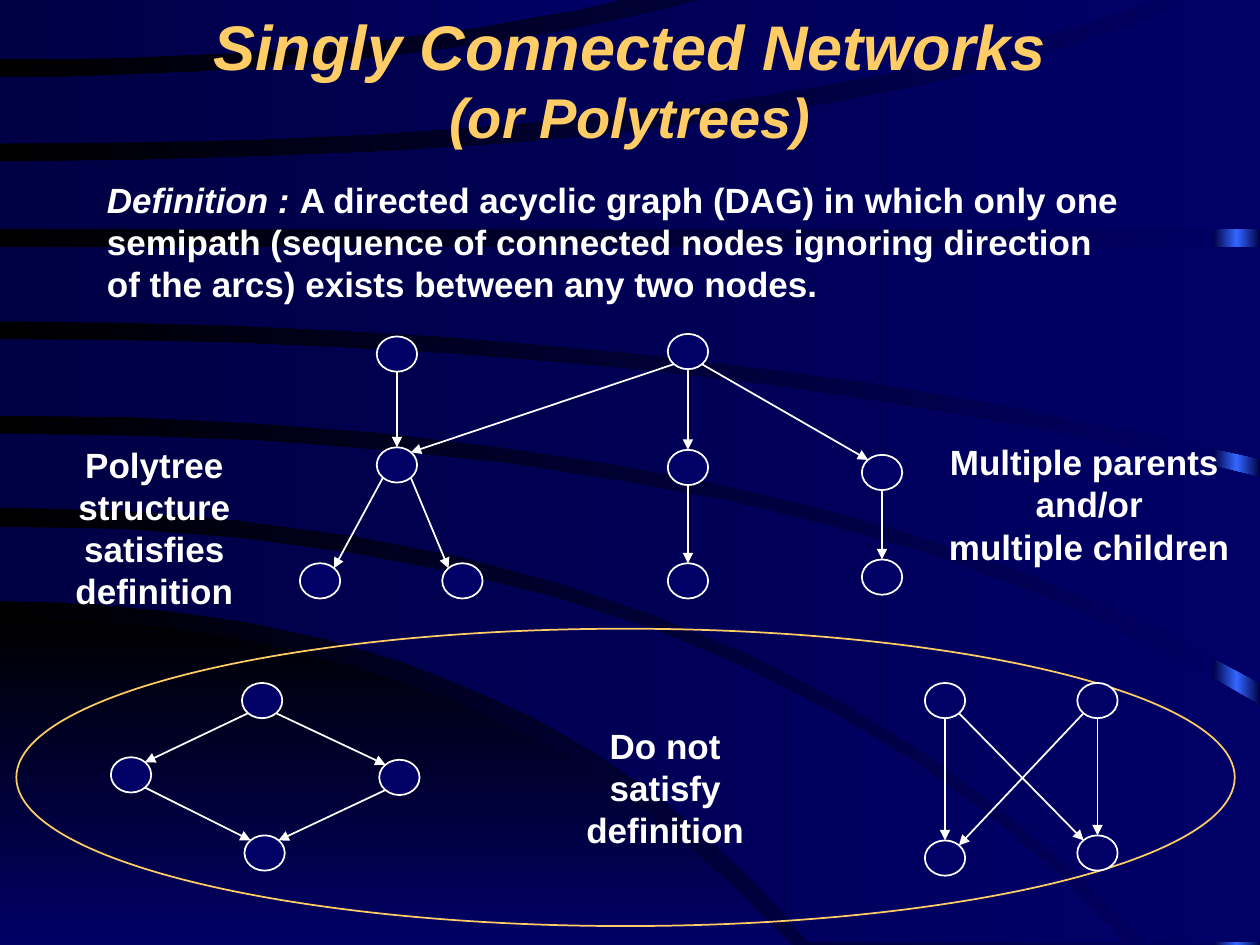
import copy
import math

import pptx
import pptx.dml.color
import pptx.enum.shapes
import pptx.enum.text
import pptx.oxml.ns
import pptx.util
from lxml import etree

PX = 9144  # 100 px to the inch
RGB = pptx.dml.color.RGBColor
BLACK = RGB(0x00, 0x00, 0x00)
NAVY = RGB(0x00, 0x00, 0x44)
BLUE = RGB(0x00, 0x00, 0x66)
BRIGHT = RGB(0x33, 0x66, 0xFF)
GOLD = RGB(0xFF, 0xCC, 0x66)
WHITE = RGB(0xFF, 0xFF, 0xFF)
SHAPE = pptx.enum.shapes.MSO_SHAPE
ALIGN = pptx.enum.text.PP_ALIGN
qn = pptx.oxml.ns.qn


def write(p, text, size=20, color=WHITE, italic=False):
    """Add one run; a final newline becomes a line break."""
    r = p.add_run()
    r.text = text.rstrip("\n")
    r.font.name = "Arial"
    r.font.size = pptx.util.Pt(size)
    r.font.bold = True
    r.font.italic = italic
    r.font.color.rgb = color
    if text.endswith("\n"):
        p.add_line_break()


def shade(fill, start, end, angle=0):
    fill.gradient()
    fill.gradient_angle = angle
    for stop, color in zip(fill.gradient_stops, (start, end)):
        stop.color.rgb = color


prs = pptx.Presentation()
prs.slide_width, prs.slide_height = 1000 * PX, 750 * PX
s = prs.slides.add_slide(prs.slide_layouts[6])
shade(s.background.fill, BLACK, BLUE)

# Bright strip at the right edge, with a middle gradient stop
sp = s.shapes.add_shape(SHAPE.RECTANGLE, 963 * PX, 0, 37 * PX, 750 * PX)
sp.shadow.inherit = False
sp.line.fill.background()
shade(sp.fill, NAVY, NAVY)
first = next(sp._element.iter(qn("a:gs")))
middle = copy.deepcopy(first)
middle.set("pos", "50000")
middle[0].set("val", str(BRIGHT))
first.addnext(middle)

# Curved bands between an upper and a lower edge. Each edge leaves the left side level
# and is a quadratic curve: start y, control x, end x, end y
STEPS = 12
bands = [
    ((491, 397, 628, 750), (750, 314, 628, 750)),
    ((418, 593, 893, 748), (477, 420, 642, 748)),
    ((344, 660, 1000, 560), (403, 590, 909, 748)),
    ((269, 560, 1000, 379), (330, 630, 1000, 542)),
    ((196, 500, 1000, 196), (255, 540, 1000, 364)),
    ((128, 670, 943, 0), (182, 500, 1000, 182)),
    ((61, 322, 556, 0), (114, 614, 917, 0)),
    ((0, 245, 491, 0), (47, 288, 491, 0)),
]
for i, band in enumerate(bands):
    edges = []
    for y1, control, x2, y2 in band:
        ts = [k / STEPS for k in range(STEPS + 1)]
        edges.append([(round(2 * t * (1 - t) * control + t * t * x2),
                       round(y1 + t * t * (y2 - y1))) for t in ts])
    upper, lower = edges
    rising = upper[-1][1] < upper[0][1]
    corner = (max(upper[-1][0], lower[-1][0]), (upper if rising else lower)[-1][1])
    fb = s.shapes.build_freeform(*upper[0], scale=PX)
    fb.add_line_segments(upper[1:] + [corner] + lower[::-1], close=True)
    sp = fb.convert_to_shape()
    sp.shadow.inherit = False
    sp.line.fill.background()
    shade(sp.fill, NAVY if i else BLACK, BLUE, 0 if i else 270)

# Ring around the counterexamples
sp = s.shapes.add_shape(SHAPE.OVAL, 13 * PX, 499 * PX, 967 * PX, 236 * PX)
sp.shadow.inherit = False
sp.fill.background()
sp.line.color.rgb = GOLD
sp.line.width = pptx.util.Pt(1)

# Title, definition and labels: box, alignment, wrap, paragraphs of runs
title = dict(color=GOLD, italic=True)
texts = [
    ((75, 8, 850, 109), ALIGN.CENTER, True, [
        [("Singly Connected Networks\n", dict(size=36, **title)),
         ("(or Polytrees)", dict(size=32, **title))]]),
    ((75, 137, 825, 110), ALIGN.LEFT, True, [
        [("Definition : ", dict(italic=True)),
         ("A directed acyclic graph (DAG) in which only one semipath (sequence of connected "
          "nodes ignoring direction of the arcs) exists between any two nodes.", {})]]),
]
labels = [
    ((416, 570, 224, 110), ["Do not", "satisfy", "definition"]),
    ((42, 347, 161, 143), ["Polytree", "structure", "satisfies", "definition"]),
    ((743, 345, 243, 110), ["Multiple parents ", "and/or", "multiple children"]),
]
texts += [(box, ALIGN.CENTER, False, [[(line, {})] for line in lines]) for box, lines in labels]
for box, align, wrap, paragraphs in texts:
    tf = s.shapes.add_textbox(*(v * PX for v in box)).text_frame
    tf.word_wrap = wrap
    tf.vertical_anchor = pptx.enum.text.MSO_ANCHOR.MIDDLE
    for i, runs in enumerate(paragraphs):
        p = tf.add_paragraph() if i else tf.paragraphs[0]
        p.alignment = align
        for text, style in runs:
            write(p, text, **style)

# Graph nodes: left and top of each circle
NODE_W, NODE_H = 32, 28
nodes = {
    "root1": (299, 267), "root2": (530, 265),
    "mid1": (299, 355), "mid2": (530, 357), "mid3": (684, 361),
    "leaf1": (238, 447), "leaf2": (351, 447), "leaf3": (530, 447), "leaf4": (684, 444),
    "top": (192, 542), "left": (88, 601), "right": (301, 603), "bottom": (194, 663),
    "parent1": (734, 542), "parent2": (855, 542), "child1": (734, 667), "child2": (855, 663),
}
for x, y in nodes.values():
    sp = s.shapes.add_shape(SHAPE.OVAL, x * PX, y * PX, NODE_W * PX, NODE_H * PX)
    sp.shadow.inherit = False
    sp.fill.solid()
    sp.fill.fore_color.rgb = BLUE
    sp.line.color.rgb = WHITE
    sp.line.width = pptx.util.Pt(1)

# Arcs: vertical ones join bottom to top, slanted ones leave and arrive at 45 degrees
arcs = [
    ("root2", "mid2"), ("root2", "mid3"), ("root2", "mid1"), ("root1", "mid1"),
    ("mid1", "leaf1"), ("mid1", "leaf2"), ("mid2", "leaf3"), ("mid3", "leaf4"),
    ("parent2", "child2"), ("parent1", "child1"), ("parent1", "child2"), ("parent2", "child1"),
    ("top", "right"), ("top", "left"), ("right", "bottom"), ("left", "bottom"),
]
diagonal = math.sqrt(0.5)
cx, cy = NODE_W // 2, NODE_H // 2
for tail, head in arcs:
    (x1, y1), (x2, y2) = nodes[tail], nodes[head]
    side = (x2 > x1) - (x2 < x1)
    dx = round(side * diagonal * cx)
    dy = round((diagonal if side else 1) * cy)
    ends = (x1 + cx + dx, y1 + cy + dy, x2 + cx - dx, y2 + cy - dy)
    c = s.shapes.add_connector(pptx.enum.shapes.MSO_CONNECTOR.STRAIGHT, *(v * PX for v in ends))
    c.line.color.rgb = WHITE
    c.line.width = pptx.util.Pt(1)
    etree.SubElement(c.line._get_or_add_ln(), qn("a:tailEnd"), type="triangle")
    etree.SubElement(c._element.spPr, qn("a:effectLst"))

prs.save("out.pptx")
